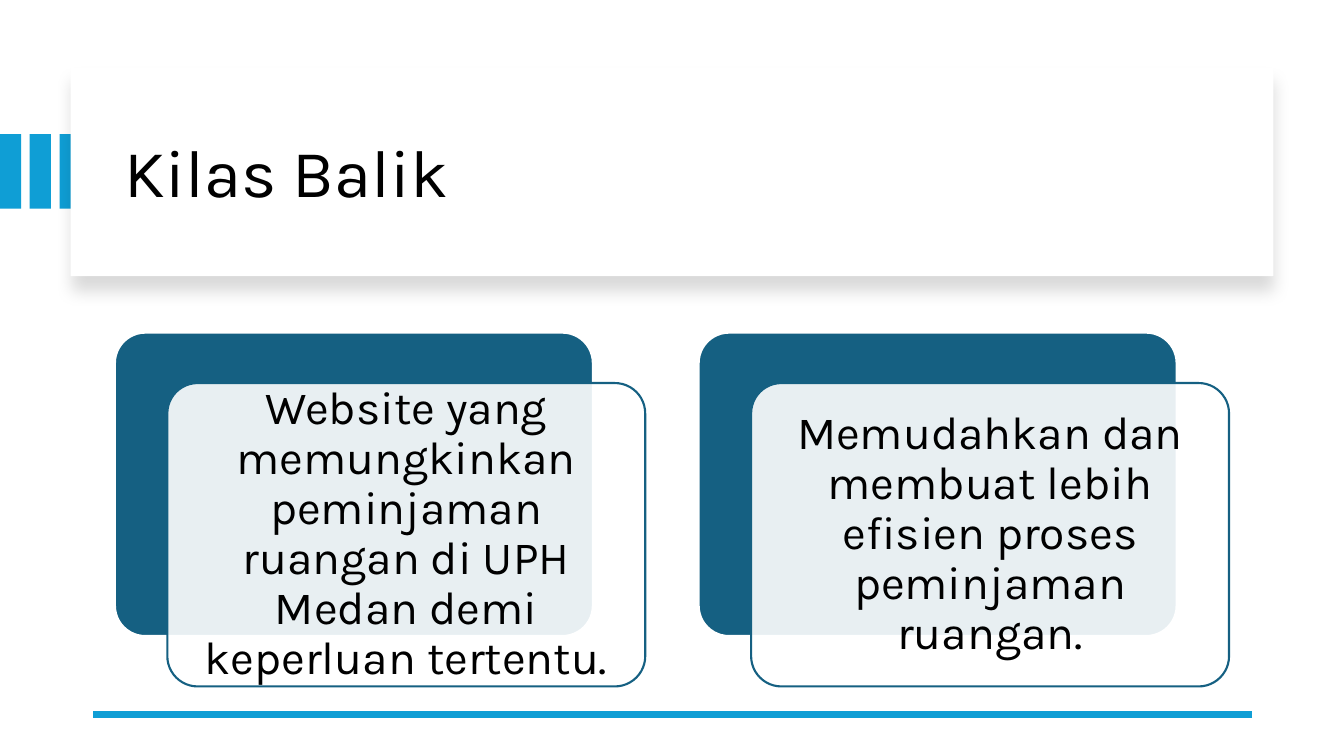
from lxml import etree
from pptx import Presentation, util as u
from pptx.dml.color import RGBColor
from pptx.enum import shapes, text
from pptx.oxml import ns

TITLE = "Kilas Balik"
CARDS = [
    "Website yang memungkinkan peminjaman ruangan di UPH Medan demi keperluan tertentu.",
    "Memudahkan dan membuat lebih efisien proses peminjaman ruangan.",
]
THEME = dict(font="Karla", ink="000000", paper="FFFFFF", blue="0F9ED5",
             deep="156082", head=48, body=33, edge=1.5, rule=4.5)
CARD = (4.74, 3.01)
LEFT, TOP, STEP = 1.14, 3.3, 5.79
SHIFT, INSET = (0.52, 0.5), 0.09

prs = Presentation()
prs.slide_width, prs.slide_height = u.Inches(13.33), u.Inches(7.5)
slide = prs.slides.add_slide(prs.slide_layouts[6])


def color(name):
    return RGBColor.from_string(THEME[name])


def add(parent, tag, **attrs):
    return etree.SubElement(parent, ns.qn(tag), {k: str(v) for k, v in attrs.items()})


def box(x, y, w, h, fill, line=None, alpha=None, round=False):
    kind = shapes.MSO_SHAPE.ROUNDED_RECTANGLE if round else shapes.MSO_SHAPE.RECTANGLE
    shape = slide.shapes.add_shape(kind, *map(u.Inches, (x, y, w, h)))
    shape.shadow.inherit = False
    if round:
        shape.adjustments[0] = 0.1
    shape.fill.solid()
    shape.fill.fore_color.rgb = color(fill)
    if alpha:
        tint = shape._element.spPr.find(ns.qn("a:solidFill"))[0]
        add(tint, "a:alpha", val=alpha * 1000)
    if line:
        shape.line.color.rgb = color(line)
        shape.line.width = u.Pt(THEME["edge"])
    else:
        shape.line.fill.background()
    return shape


def write(words, x, y, w, h, size, pad=(0.1, 0.05), align=text.PP_ALIGN.LEFT):
    frame = slide.shapes.add_textbox(*map(u.Inches, (x, y, w, h))).text_frame
    frame.word_wrap = True
    frame.vertical_anchor = text.MSO_ANCHOR.MIDDLE
    frame.margin_left = frame.margin_right = u.Inches(pad[0])
    frame.margin_top = frame.margin_bottom = u.Inches(pad[1])
    para = frame.paragraphs[0]
    para.alignment = align
    para.line_spacing = 0.9
    run = para.add_run()
    run.text = words
    run.font.name = THEME["font"]
    run.font.size = u.Pt(THEME[size])
    run.font.color.rgb = color("ink")


def shade(shape, alpha, blur, dist, angle):
    effects = shape._element.spPr.find(ns.qn("a:effectLst"))
    outer = add(effects, "a:outerShdw", blurRad=u.Pt(blur), dist=u.Pt(dist),
                dir=angle * 60000, algn="t", rotWithShape=0)
    ink = add(outer, "a:srgbClr", val=THEME["ink"])
    add(ink, "a:alpha", val=alpha * 1000)


for i in range(3):
    box(i * 0.295, 1.33, 0.21, 0.74, "blue")

panel = box(0.7, 0.67, 11.93, 2.07, "paper")
shade(panel, alpha=15, blur=11, dist=10, angle=90)
write(TITLE, 1.14, 0.89, 11.13, 1.7, "head")

rule = slide.shapes.add_connector(
    shapes.MSO_CONNECTOR.STRAIGHT, *map(u.Inches, (12.42, 7.09, 0.92, 7.09)))
rule.line.color.rgb = color("blue")
rule.line.width = u.Pt(THEME["rule"])
add(rule._element.spPr, "a:effectLst")

w, h = CARD
for i, words in enumerate(CARDS):
    x = LEFT + i * STEP
    box(x, TOP, w, h, "deep", line="paper", round=True)
    x, y = x + SHIFT[0], TOP + SHIFT[1]
    box(x, y, w, h, "paper", line="deep", alpha=90, round=True)
    write(words, x + INSET, y + INSET, w - 2 * INSET, h - 2 * INSET, "body",
          pad=(0.14, 0.14), align=text.PP_ALIGN.CENTER)

prs.save("out.pptx")
